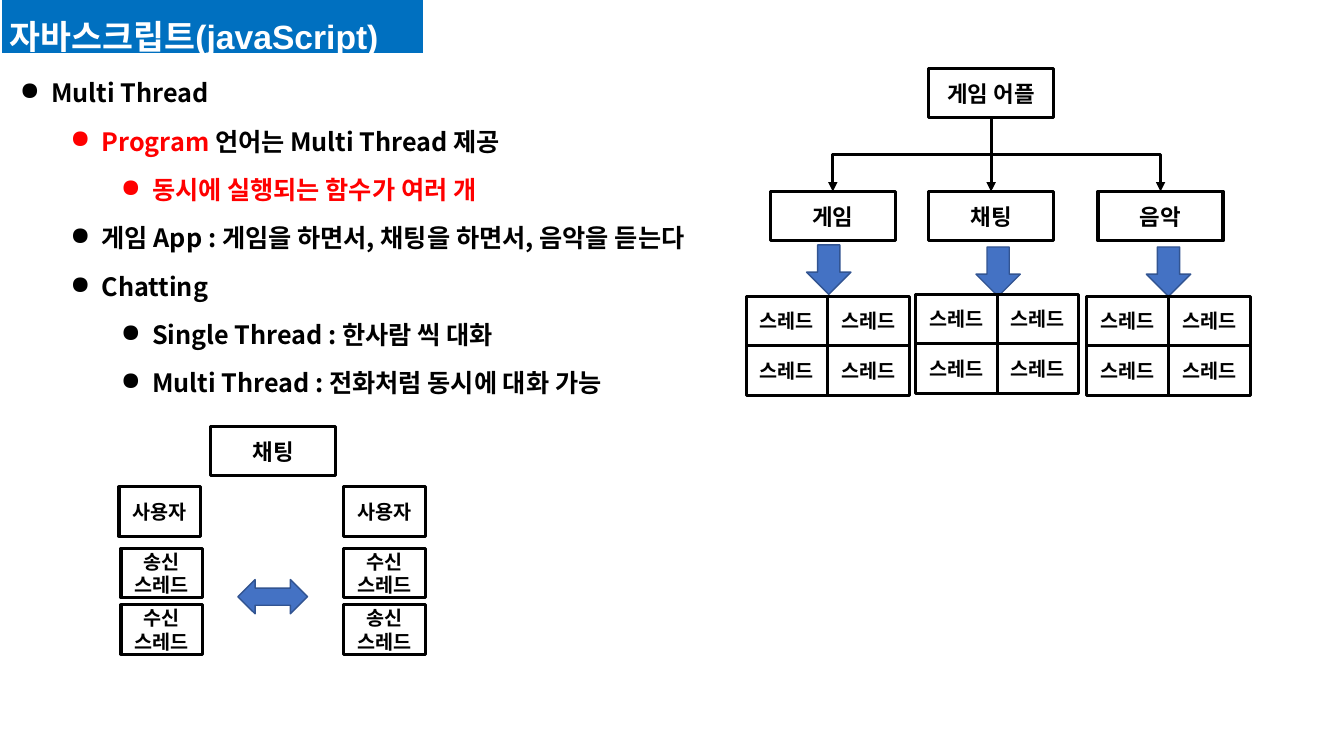
from dataclasses import dataclass

from lxml import etree
from pptx import Presentation
from pptx import util as u
from pptx.dml import color
from pptx.enum import shapes, text
from pptx.oxml import ns

PX = 9144  # EMU per px, 100 px to the inch
FONT = "Noto Sans CJK KR"
HUES = {"ink": "000000", "paper": "FFFFFF", "red": "FF0000",
        "title": "0070C0", "arrow": "4472C4", "edge": "325491"}
KIND = shapes.MSO_SHAPE
WIDE, HIGH = 124, 49
CELL = 81


@dataclass
class Box:
    label: str
    left: int
    top: int
    width: int = CELL
    size: int = 14


@dataclass
class Arrow:
    kind: KIND
    left: int
    top: int
    width: int
    height: int


@dataclass
class Point:
    level: int
    spans: list[tuple[str, str]]


def px(count: int) -> u.Emu:
    return u.Emu(count * PX)


def rgb(hue: str) -> color.RGBColor:
    return color.RGBColor.from_string(HUES[hue])


def style(run, size: int, hue: str, face: str = FONT) -> None:
    run.font.size, run.font.bold, run.font.name = u.Pt(size), True, face
    run.font.color.rgb = rgb(hue)
    east = etree.SubElement(run.font._element, ns.qn("a:ea"))
    east.set("typeface", FONT)


def draw_shape(slide, kind: KIND, area: tuple[int, int, int, int],
               fill: str, edge: str, weight: float):
    shape = slide.shapes.add_shape(kind, *map(px, area))
    shape.shadow.inherit = False
    shape.fill.solid()
    shape.fill.fore_color.rgb = rgb(fill)
    shape.line.color.rgb = rgb(edge)
    shape.line.width = u.Pt(weight)
    return shape


def draw_box(slide, box: Box):
    shape = draw_shape(slide, KIND.RECTANGLE,
                       (box.left, box.top, box.width, HIGH), "paper", "ink", 2.25)
    frame = shape.text_frame
    frame.text = box.label
    frame.vertical_anchor = text.MSO_ANCHOR.MIDDLE
    for para in frame.paragraphs:
        para.alignment = text.PP_ALIGN.CENTER
        for run in para.runs:
            style(run, box.size, "ink")
    return shape


def draw_arrow(slide, arrow: Arrow) -> None:
    area = (arrow.left, arrow.top, arrow.width, arrow.height)
    draw_shape(slide, arrow.kind, area, "arrow", "edge", 1)


def draw_link(slide, source, target) -> None:
    """Join the foot of source to the head of target, with a bend if they are not in line."""
    x1, y1 = source.left + source.width // 2, source.top + source.height
    x2, y2 = target.left + target.width // 2, target.top
    if x1 == x2:
        link = slide.shapes.add_connector(shapes.MSO_CONNECTOR.STRAIGHT, x1, y1, x2, y2)
        link.begin_connect(source, 2)
        link.end_connect(target, 0)
    else:
        # A bent line runs sideways first, so it is laid flat and then turned.
        drop, span = y2 - y1, abs(x2 - x1)
        left, top = (x1 + x2 - drop) // 2, (y1 + y2 - span) // 2
        link = slide.shapes.add_connector(
            shapes.MSO_CONNECTOR.ELBOW, left, top, left + drop, top + span)
        frame = link.element.spPr.find(ns.qn("a:xfrm"))
        frame.set("rot", str((90 if x2 < x1 else 270) * 60000))
        if x2 > x1:
            frame.set("flipH", "1")
    link.line.color.rgb = rgb("ink")
    link.line.width = u.Pt(2.25)
    tail = etree.SubElement(link.get_or_add_ln(), ns.qn("a:tailEnd"))
    tail.set("type", "triangle")
    etree.SubElement(link.element.spPr, ns.qn("a:effectLst"))


def draw_points(slide, points: list[Point]) -> None:
    frame = slide.shapes.add_textbox(px(10), px(54), px(744), px(344)).text_frame
    frame.word_wrap = True
    frame.auto_size = text.MSO_AUTO_SIZE.SHAPE_TO_FIT_TEXT
    for index, point in enumerate(points):
        para = frame.add_paragraph() if index else frame.paragraphs[0]
        props = para._p.get_or_add_pPr()
        props.set("marL", str(px(31 + 50 * point.level)))
        props.set("indent", str(-px(31)))
        etree.SubElement(props, ns.qn("a:buChar")).set("char", "●")
        para.level = point.level
        para.alignment = text.PP_ALIGN.JUSTIFY
        para.line_spacing = 1.6
        for words, hue in point.spans:
            run = para.add_run()
            run.text = words
            style(run, 18, hue)


def draw_title(slide, words: str) -> None:
    shape = draw_shape(slide, KIND.RECTANGLE, (0, -9, 421, 63), "title", "paper", 2.25)
    frame = shape.text_frame
    frame.text = words
    frame.vertical_anchor = text.MSO_ANCHOR.TOP
    frame.auto_size = text.MSO_AUTO_SIZE.SHAPE_TO_FIT_TEXT
    para = frame.paragraphs[0]
    para.alignment = text.PP_ALIGN.LEFT
    para.line_spacing = 1.5
    style(para.runs[0], 24, "paper", "Arial")


def draw_game(slide) -> None:
    game = draw_box(slide, Box("게임 어플", 921, 68, WIDE, 16))
    # label, left of box, left and top of arrow, left and top of threads
    tasks = [("게임", 764, 800, 243, 740, 294),
             ("채팅", 921, 968, 245, 908, 292),
             ("음악", 1089, 1137, 245, 1078, 294)]
    for label, left, tip, high, grid, top in tasks:
        task = draw_box(slide, Box(label, left, 190, WIDE, 16))
        draw_link(slide, game, task)
        draw_arrow(slide, Arrow(KIND.DOWN_ARROW, tip, high, 44, HIGH))
        for row in range(2):
            for col in range(2):
                draw_box(slide, Box("스레드", grid + col * CELL, top + row * HIGH))


def draw_chat(slide) -> None:
    send, receive = "송신\n스레드", "수신\n스레드"
    boxes = [Box("채팅", 209, 423, WIDE, 16),
             Box("사용자", 118, 483), Box("사용자", 341, 483)]
    for left, labels in ((120, (send, receive)), (341, (receive, send))):
        boxes += [Box(label, left, 544 + row * 56) for row, label in enumerate(labels)]
    for box in boxes:
        draw_box(slide, box)
    draw_arrow(slide, Arrow(KIND.LEFT_RIGHT_ARROW, 236, 575, 69, 34))


def main() -> None:
    deck = Presentation()
    deck.slide_width, deck.slide_height = px(1333), px(750)
    slide = deck.slides.add_slide(deck.slide_layouts[6])
    draw_points(slide, [
        Point(0, [("Multi Thread", "ink")]),
        Point(1, [("Program ", "red"), ("언어는 Multi Thread 제공", "ink")]),
        Point(2, [("동시에 실행되는 함수가 여러 개", "red")]),
        Point(1, [("게임 App : 게임을 하면서, 채팅을 하면서, 음악을 듣는다", "ink")]),
        Point(1, [("Chatting", "ink")]),
        Point(2, [("Single Thread : 한사람 씩 대화", "ink")]),
        Point(2, [("Multi Thread : 전화처럼 동시에 대화 가능", "ink")]),
    ])
    draw_game(slide)
    draw_chat(slide)
    draw_title(slide, "자바스크립트(javaScript)")
    deck.save("out.pptx")


if __name__ == "__main__":
    main()
